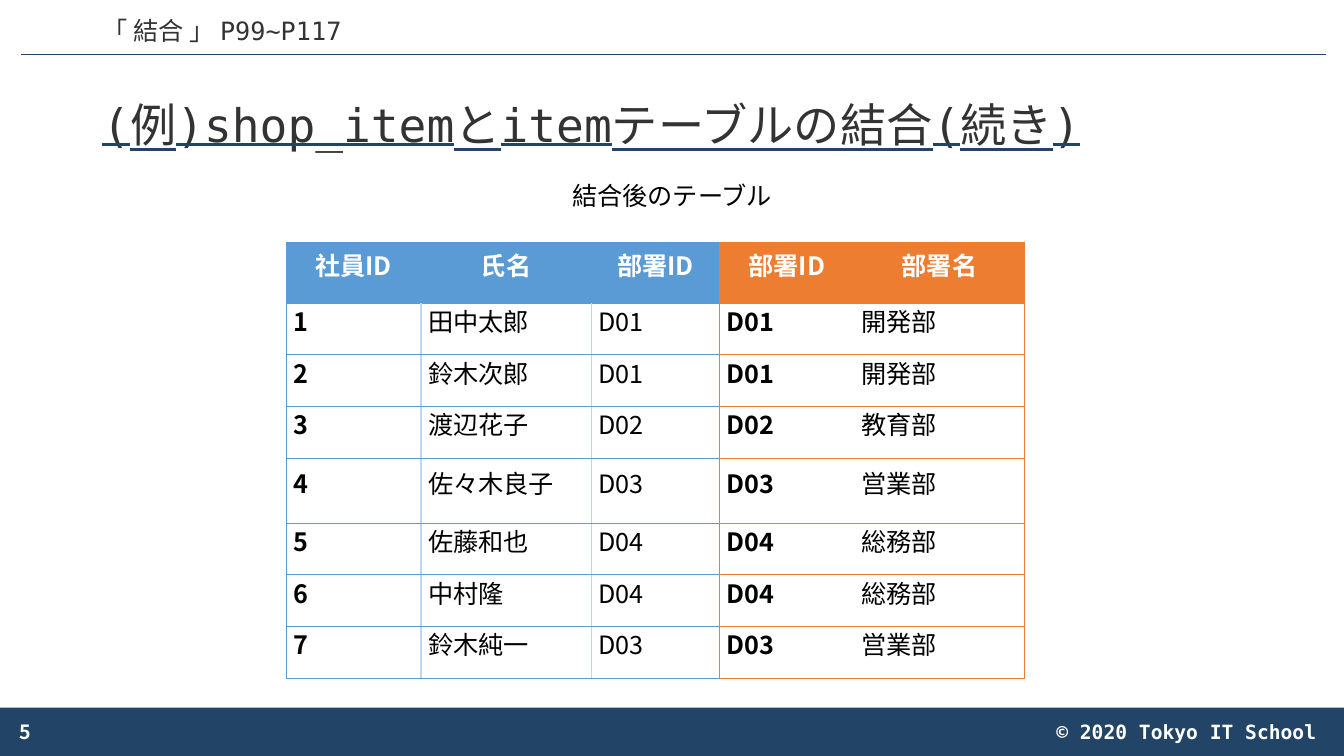
from lxml import etree
from pptx import Presentation
from pptx.dml.color import RGBColor
from pptx.enum.shapes import MSO_CONNECTOR, MSO_SHAPE
from pptx.enum.text import MSO_ANCHOR, PP_ALIGN
from pptx.oxml.ns import qn
from pptx.util import Cm, Pt

COLORS = {"navy": "224466", "gray": "333333", "white": "FFFFFF", "black": "000000",
          "blue": "5B9BD5", "pale": "BDD7EE", "orange": "ED7D31"}
MONO, SANS = "DejaVu Sans Mono", "Noto Sans CJK JP"
WIDTH, HEIGHT = 33.87, 19.05
HEADER_HEIGHT, BODY_HEIGHT, TALL_HEIGHT = 1.54, 1.3, 1.64
ROW_HEIGHTS = [HEADER_HEIGHT] + [BODY_HEIGHT] * 3 + [TALL_HEIGHT] + [BODY_HEIGHT] * 3

EMPLOYEES = [
    ("社員ID", "氏名", "部署ID"),
    ("1", "田中太郎", "D01"),
    ("2", "鈴木次郎", "D01"),
    ("3", "渡辺花子", "D02"),
    ("4", "佐々木良子", "D03"),
    ("5", "佐藤和也", "D04"),
    ("6", "中村隆", "D04"),
    ("7", "鈴木純一", "D03"),
]
DEPARTMENTS = [
    ("部署ID", "部署名"),
    ("D01", "開発部"),
    ("D01", "開発部"),
    ("D02", "教育部"),
    ("D03", "営業部"),
    ("D04", "総務部"),
    ("D04", "総務部"),
    ("D03", "営業部"),
]


def rgb(name):
    """Return the named colour."""
    return RGBColor.from_string(COLORS[name])


def add_solid_fill(parent, color):
    """Append a solid fill element to parent."""
    fill = etree.SubElement(parent, qn("a:solidFill"))
    etree.SubElement(fill, qn("a:srgbClr"), val=COLORS[color])


def set_text(tf, text, size, color, font=SANS, bold=False, align=PP_ALIGN.LEFT):
    """Write one formatted paragraph and return it."""
    p = tf.paragraphs[0]
    p.add_run().text = text
    p.alignment = align
    p.font.size, p.font.bold, p.font.name = Pt(size), bold, font
    p.font.color.rgb = rgb(color)
    latin = p._p.pPr.find(qn("a:defRPr")).find(qn("a:latin"))
    east_asian = etree.Element(qn("a:ea"), typeface=SANS)
    latin.addnext(east_asian)
    return p


def add_text(s, box, text, size, color, anchor=MSO_ANCHOR.TOP, **style):
    """Add a wrapped text box and return its paragraph."""
    tf = s.shapes.add_textbox(*map(Cm, box)).text_frame
    tf.word_wrap = True
    tf.vertical_anchor = anchor
    return set_text(tf, text, size, color, **style)


def add_header(s, left, top, width, height):
    """Draw the chapter label above a thin rule."""
    add_text(s, (left + 1.8, top + 0.25, 21.8, 1.02), "「 結合 」 P99~P117", 18, "gray", font=MONO)
    rule = s.shapes.add_connector(MSO_CONNECTOR.STRAIGHT, Cm(left), Cm(top + height),
                                  Cm(left + width), Cm(top + height))
    rule.line.color.rgb = rgb("navy")
    rule.line.width = Pt(0.5)
    etree.SubElement(rule._element.spPr, qn("a:effectLst"))


def add_title(s, left, top, width, height):
    """Write the title with a navy underline."""
    p = add_text(s, (left, top, width, height), "(例)shop_itemとitemテーブルの結合(続き)",
                 33, "gray", anchor=MSO_ANCHOR.MIDDLE, font=MONO)
    p.line_spacing = 0.9
    p.font.underline = True
    underline = etree.Element(qn("a:uFill"))
    add_solid_fill(underline, "navy")
    p._p.pPr.find(qn("a:defRPr")).find(qn("a:latin")).addprevious(underline)


def add_footer(s, left, top, width, height):
    """Draw the footer bar with page number and copyright."""
    sp = s.shapes.add_shape(MSO_SHAPE.RECTANGLE, *map(Cm, (left, top, width, height)))
    sp.shadow.inherit = False
    sp.fill.solid()
    sp.fill.fore_color.rgb = rgb("navy")
    sp.line.fill.background()
    add_text(s, (left + 0.25, top + 0.1, 7.62, 1.02), "5", 14, "white",
             anchor=MSO_ANCHOR.MIDDLE, bold=True)
    add_text(s, (left + width - 12.68, top + 0.18, 12.24, 0.86), "© 2020 Tokyo IT School",
             14, "white", font=MONO, bold=True, align=PP_ALIGN.RIGHT)


def set_borders(cell, borders):
    """Apply left, right, top and bottom borders as (colour, points) or None."""
    tc_pr = cell._tc.get_or_add_tcPr()
    for i, (side, border) in enumerate(zip("LRTB", borders)):
        color, points = border or (None, 0)
        line = etree.Element(qn(f"a:ln{side}"), w=str(Pt(points)))
        if color:
            add_solid_fill(line, color)
        else:
            etree.SubElement(line, qn("a:noFill"))
        tc_pr.insert(i, line)


def add_data_table(s, left, top, col_widths, rows, accent, divider):
    """Draw a table with an accent header and body dividers."""
    last = len(col_widths) - 1
    frame = s.shapes.add_table(len(rows), len(col_widths), Cm(left), Cm(top),
                               Cm(sum(col_widths)), Cm(sum(ROW_HEIGHTS)))
    table = frame.table
    table.horz_banding = False
    for column, width in zip(table.columns, col_widths):
        column.width = Cm(width)
    edge = (accent, 0.5)
    for r, values in enumerate(rows):
        table.rows[r].height = Cm(ROW_HEIGHTS[r])
        header = r == 0
        inner = None if header else divider
        for c, value in enumerate(values):
            cell = table.cell(r, c)
            cell.margin_left = cell.margin_right = Cm(0.18)
            cell.margin_top = cell.margin_bottom = Cm(0.15)
            cell.vertical_anchor = MSO_ANCHOR.MIDDLE
            if header:
                cell.fill.solid()
                cell.fill.fore_color.rgb = rgb(accent)
            else:
                cell.fill.background()
            p = set_text(cell.text_frame, value, 18, "white" if header else "black",
                         bold=header or c == 0,
                         align=PP_ALIGN.CENTER if header else PP_ALIGN.JUSTIFY)
            p.line_spacing = Pt(14)
            set_borders(cell, (edge if c == 0 else inner, edge if c == last else inner, edge, edge))


def add_joined_tables(s, left, top):
    """Place the caption and the two tables side by side."""
    employee_widths, department_widths = [3.4, 4.29, 3.23], [3.4, 4.29]
    add_text(s, (left + 4.42, top - 1.68, 10.62, 1.02), "結合後のテーブル", 18, "black",
             align=PP_ALIGN.CENTER)
    add_data_table(s, left, top, employee_widths, EMPLOYEES, "blue", ("pale", 1))
    add_data_table(s, left + sum(employee_widths), top, department_widths, DEPARTMENTS,
                   "orange", None)


def main():
    """Build and save the slide."""
    prs = Presentation()
    prs.slide_width, prs.slide_height = Cm(WIDTH), Cm(HEIGHT)
    s = prs.slides.add_slide(prs.slide_layouts[6])
    add_footer(s, 0, 17.83, WIDTH, HEIGHT - 17.83)
    add_header(s, 0.53, 0, 32.89, 1.37)
    add_title(s, 2.33, 1.73, 29.21, 2.97)
    add_joined_tables(s, 7.21, 6.1)
    prs.save("out.pptx")


if __name__ == "__main__":
    main()
